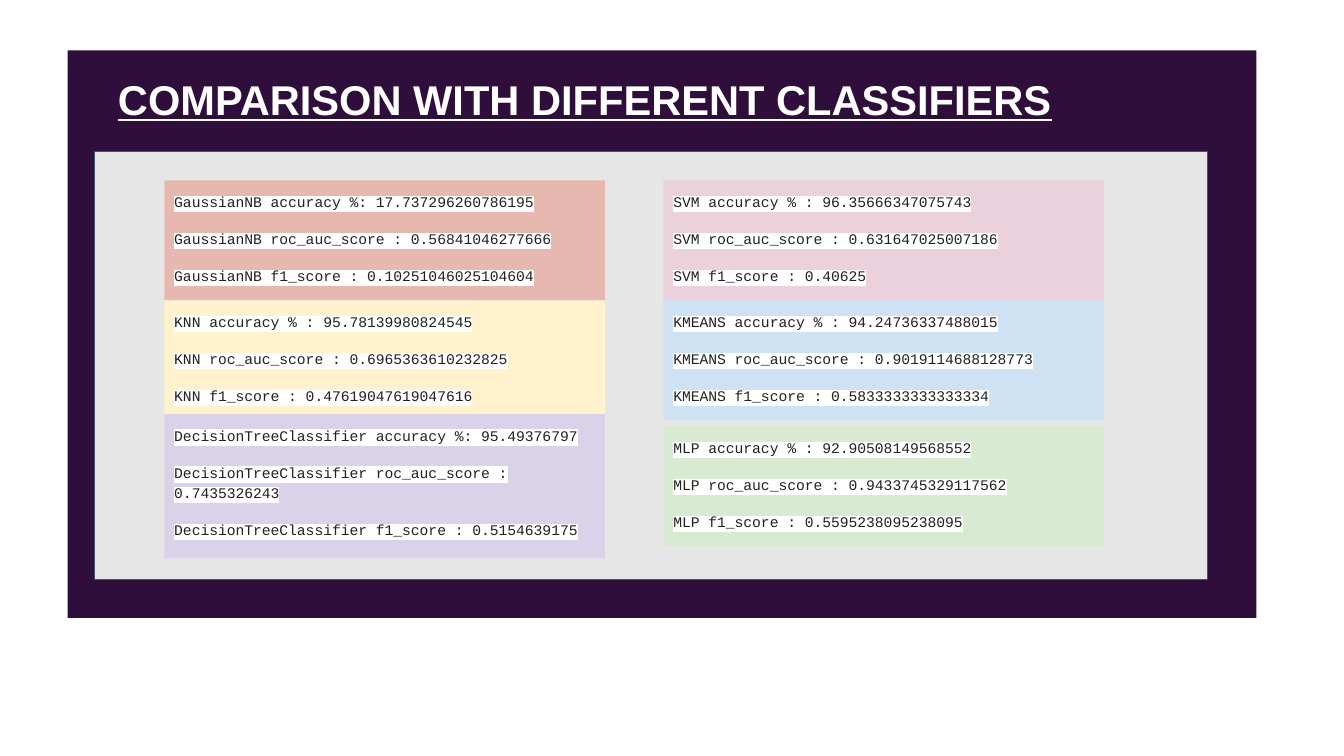
from dataclasses import dataclass

from lxml import etree
from pptx import Presentation
from pptx.dml.color import RGBColor
from pptx.enum.shapes import MSO_SHAPE
from pptx.enum.text import MSO_ANCHOR, MSO_AUTO_SIZE, PP_ALIGN
from pptx.oxml.ns import qn
from pptx.util import Inches, Pt

RECTANGLE = MSO_SHAPE.RECTANGLE
TOP = MSO_ANCHOR.TOP
NO_AUTOFIT = MSO_AUTO_SIZE.NONE
LEFT = PP_ALIGN.LEFT


@dataclass(frozen=True)
class Theme:
    backdrop: str = "2F0E3C"
    board: str = "E7E6E6"
    board_edge: str = "44546A"
    heading: str = "FFFFFF"
    score: str = "212121"
    highlight: str = "FFFFFF"
    heading_size: float = 29.7
    score_size: float = 10.5
    heading_font: str = "Arial"
    score_font: str = "Courier New"


theme = Theme()


def add_panel(left, top, width, height, fill):
    panel = slide.shapes.add_shape(
        RECTANGLE, Inches(left), Inches(top), Inches(width), Inches(height)
    )
    panel.shadow.inherit = False
    panel.fill.solid()
    panel.fill.fore_color.rgb = RGBColor.from_string(fill)
    panel.line.fill.background()
    return panel


def set_values(target, values):
    for name, value in values.items():
        setattr(target, name, value)


presentation = Presentation()
presentation.slide_width = Inches(13.33)
presentation.slide_height = Inches(7.5)
slide = presentation.slides.add_slide(presentation.slide_layouts[5])

add_panel(0.67, 0.5, 11.79, 5.63, theme.backdrop)

heading = slide.shapes.title
slide.shapes._spTree.append(heading._element)
set_values(heading, {
    "left": Inches(1.08), "top": Inches(0.69),
    "width": Inches(10.42), "height": Inches(0.88),
})
set_values(heading.text_frame, {
    "text": "COMPARISON WITH DIFFERENT CLASSIFIERS",
    "vertical_anchor": TOP, "word_wrap": True, "auto_size": NO_AUTOFIT,
    "margin_left": Inches(0.09), "margin_right": Inches(0.09),
    "margin_top": Inches(0.04), "margin_bottom": Inches(0.04),
})
heading_line = heading.text_frame.paragraphs[0]
heading_line.alignment = LEFT
heading_font = heading_line.runs[0].font
set_values(heading_font, {
    "name": theme.heading_font, "size": Pt(theme.heading_size),
    "bold": True, "underline": True,
})
heading_font.color.rgb = RGBColor.from_string(theme.heading)

board = add_panel(0.94, 1.5, 11.04, 4.25, theme.board)
board.line.color.rgb = RGBColor.from_string(theme.board_edge)
board.line.width = Pt(0.75)

LEFT_COLUMN, RIGHT_COLUMN = 1.63, 6.58
CARD_WIDTH, CARD_HEIGHT = 4.37, 1.19
FIRST_ROW = 1.79
SECOND_ROW = FIRST_ROW + CARD_HEIGHT

classifiers = [
    (LEFT_COLUMN, FIRST_ROW, CARD_HEIGHT, "E6B8AF", "GaussianNB",
     ("accuracy %: 17.737296260786195", "0.56841046277666", "0.10251046025104604")),
    (RIGHT_COLUMN, FIRST_ROW, CARD_HEIGHT, "EAD1DC", "SVM",
     ("accuracy % : 96.35666347075743", "0.631647025007186", "0.40625")),
    (LEFT_COLUMN, SECOND_ROW, CARD_HEIGHT, "FFF2CC", "KNN",
     ("accuracy % : 95.78139980824545", "0.6965363610232825", "0.47619047619047616")),
    (LEFT_COLUMN, 4.11, 1.43, "D9D2E9", "DecisionTreeClassifier",
     ("accuracy %: 95.49376797", "0.7435326243", "0.5154639175")),
    (RIGHT_COLUMN, SECOND_ROW, CARD_HEIGHT, "CFE2F3", "KMEANS",
     ("accuracy % : 94.24736337488015", "0.9019114688128773", "0.5833333333333334")),
    (RIGHT_COLUMN, 4.23, CARD_HEIGHT, "D9EAD3", "MLP",
     ("accuracy % : 92.90508149568552", "0.9433745329117562", "0.5595238095238095")),
]

for left, top, height, fill, classifier, (accuracy, roc_auc, f1) in classifiers:
    card = add_panel(left, top, CARD_WIDTH, height, fill)
    scores = (accuracy, f"roc_auc_score : {roc_auc}", f"f1_score : {f1}")
    set_values(card.text_frame, {
        "text": "\n".join(f"{classifier} {score}" for score in scores),
        "vertical_anchor": TOP, "word_wrap": True,
        "margin_left": Inches(0.1), "margin_right": Inches(0.1),
        "margin_top": Inches(0.1), "margin_bottom": Inches(0.1),
    })
    for index, score_line in enumerate(card.text_frame.paragraphs):
        set_values(score_line, {
            "alignment": LEFT, "line_spacing": 1.15,
            "space_before": Pt(12 if index else 0),
            "space_after": Pt(12 if index == 2 else 0),
        })
        score_run = score_line.runs[0]
        score_run.font.size = Pt(theme.score_size)
        score_run.font.color.rgb = RGBColor.from_string(theme.score)
        score_run.font.name = theme.score_font
        highlight = etree.Element(qn("a:highlight"))
        etree.SubElement(highlight, qn("a:srgbClr"), val=theme.highlight)
        score_run._r.rPr.find(qn("a:latin")).addprevious(highlight)

presentation.save("out.pptx")
